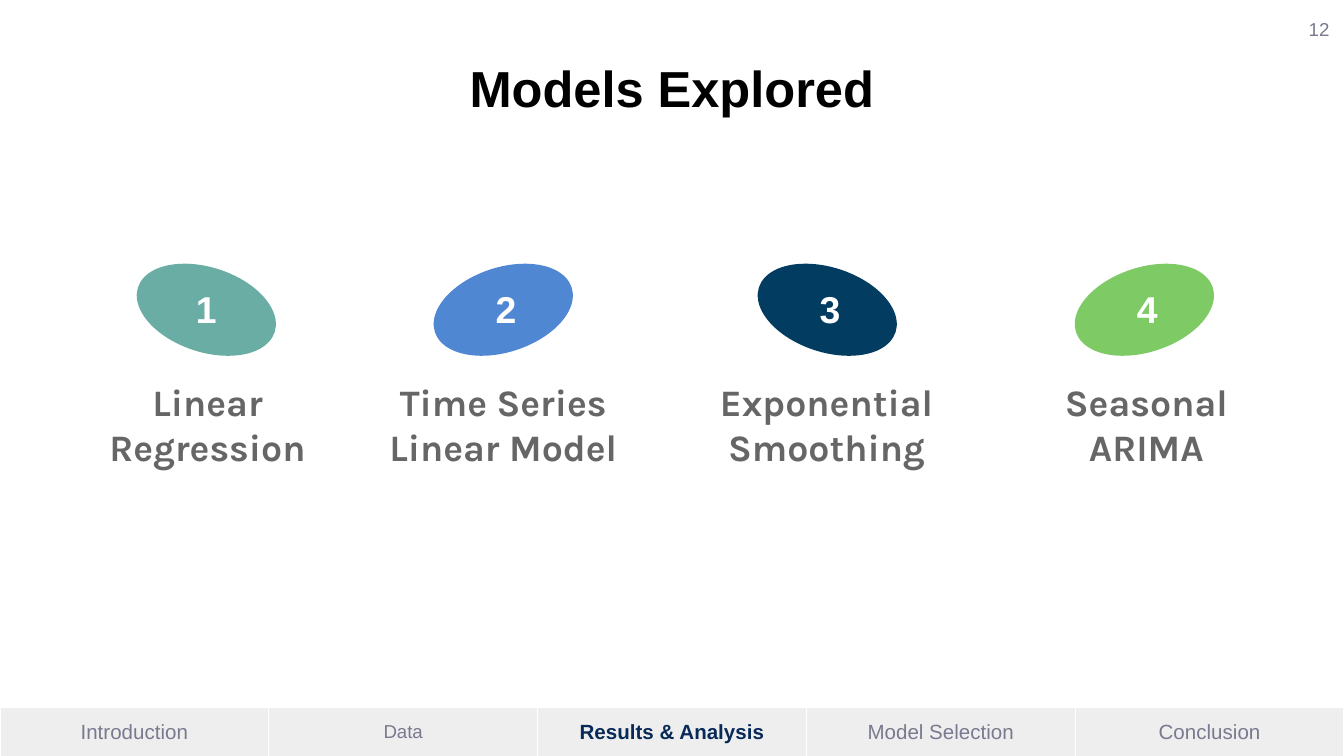
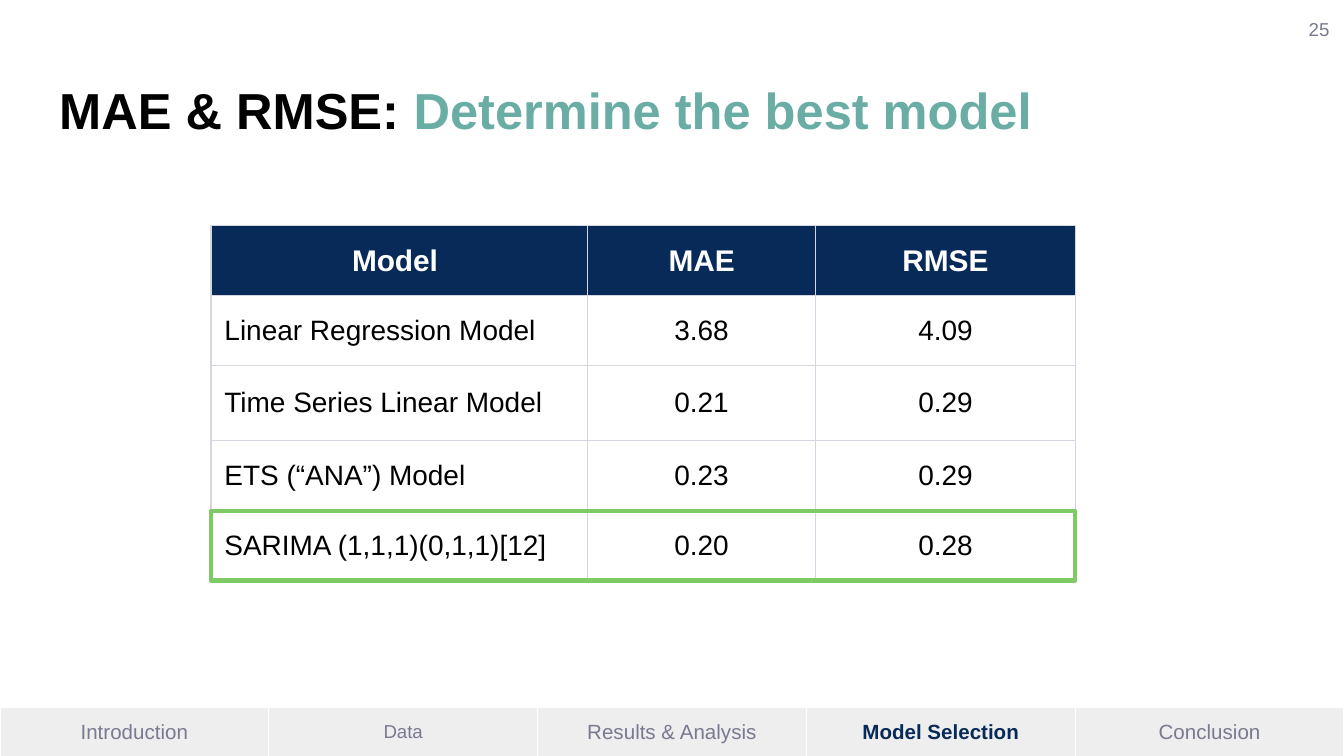
import dataclasses

import lxml.etree
import pptx
import pptx.dml.color
import pptx.enum.shapes
import pptx.enum.text
import pptx.oxml.ns
import pptx.util

Inches = pptx.util.Inches
Pt = pptx.util.Pt
ALIGN = pptx.enum.text.PP_ALIGN
ANCHOR = pptx.enum.text.MSO_ANCHOR
SHAPE = pptx.enum.shapes.MSO_SHAPE


@dataclasses.dataclass(frozen=True)
class Theme:
    font: str = "Arial"
    label_font: str = "Karla"
    black: str = "000000"
    white: str = "FFFFFF"
    muted: str = "79798F"
    navy: str = "082A58"
    band: str = "EEEEEE"
    grid: str = "D6D6E0"
    label: str = "666666"
    teal: str = "69ADA4"
    blue: str = "4F87D3"
    deep_blue: str = "023C61"
    green: str = "7ECA65"
    title_size: float = 27.1
    label_size: int = 20
    header_size: int = 16
    body_size: int = 15
    nav_size: int = 11
    small_size: int = 10


T = Theme()
SECTIONS = ["Introduction", "Data", "Results & Analysis", "Model Selection", "Conclusion"]
MODELS = [
    ("Linear Regression", T.teal, 1, 1.36, 0.62, 1.85, 18.2),
    ("Time Series Linear Model", T.blue, 3.21, 3.59, 2.5, 2.49, -18.1),
    ("Exponential Smoothing", T.deep_blue, 5.62, 6, 4.69, 2.92, 18.2),
    ("Seasonal ARIMA", T.green, 7.98, 8.36, 7.57, 1.92, -18.1),
]
SCORES = [
    ("Model ", "MAE", "RMSE"),
    ("Linear Regression Model", "3.68", "4.09"),
    ("Time Series Linear Model", "0.21", "0.29"),
    ("ETS (“ANA”) Model", "0.23", "0.29"),
    ("SARIMA (1,1,1)(0,1,1)[12]", "0.20", "0.28"),
]


def rgb(value):
    return pptx.dml.color.RGBColor.from_string(value)


def add_run(p, text, size, color, bold=False, font=T.font):
    r = p.add_run()
    r.text = text
    r.font.name = font
    r.font.size = Pt(size)
    r.font.bold = bold
    r.font.color.rgb = rgb(color)


def set_frame(tf, anchor):
    tf.word_wrap = True
    tf.auto_size = pptx.enum.text.MSO_AUTO_SIZE.NONE
    tf.vertical_anchor = anchor
    tf.margin_left = tf.margin_right = tf.margin_top = tf.margin_bottom = Inches(0.1)


def add_text(shapes, box, text, size, color, align, anchor=ANCHOR.MIDDLE, **style):
    sp = shapes.add_textbox(*map(Inches, box))
    set_frame(sp.text_frame, anchor)
    p = sp.text_frame.paragraphs[0]
    p.alignment = align
    add_run(p, text, size, color, **style)


def set_borders(cell, color):
    tcPr = cell._tc.get_or_add_tcPr()
    for i, side in enumerate(("lnL", "lnR", "lnT", "lnB")):
        ln = lxml.etree.Element(pptx.oxml.ns.qn(f"a:{side}"), w=str(Pt(0.75)))
        fill = lxml.etree.SubElement(ln, pptx.oxml.ns.qn("a:solidFill"))
        lxml.etree.SubElement(fill, pptx.oxml.ns.qn("a:srgbClr"), val=color)
        tcPr.insert(i, ln)


def set_cell(cell, text, size, color, fill, border, align=ALIGN.CENTER, bold=False):
    cell.fill.solid()
    cell.fill.fore_color.rgb = rgb(fill)
    cell.vertical_anchor = ANCHOR.MIDDLE
    cell.margin_left = cell.margin_right = cell.margin_top = cell.margin_bottom = Inches(0.1)
    p = cell.text_frame.paragraphs[0]
    p.alignment = align
    add_run(p, text, size, color, bold)
    set_borders(cell, border)


def add_grid(s, left, top, widths, heights):
    frame = s.shapes.add_table(len(heights), len(widths), Inches(left), Inches(top),
                               Inches(sum(widths)), Inches(sum(heights)))
    table = frame.table
    table.first_row = table.horz_banding = False
    for column, width in zip(table.columns, widths):
        column.width = Inches(width)
    for row, height in zip(table.rows, heights):
        row.height = Inches(height)
    return table


def add_title(s, box, runs, align=ALIGN.LEFT):
    sp = s.shapes.title
    sp.left, sp.top, sp.width, sp.height = map(Inches, box)
    set_frame(sp.text_frame, ANCHOR.TOP)
    p = sp.text_frame.paragraphs[0]
    p.alignment = align
    for text, color in runs:
        add_run(p, text, T.title_size, color, bold=True)


def add_nav(s, left, top, width, active):
    count = len(SECTIONS)
    table = add_grid(s, left, top, [width / count] * count, [0.38])
    for i, name in enumerate(SECTIONS):
        current = name == active
        size = T.small_size if name == "Data" else T.nav_size
        set_cell(table.cell(0, i), name, size, T.navy if current else T.muted,
                 T.band, T.white, bold=current)


def new_slide(prs, section, number):
    s = prs.slides.add_slide(prs.slide_layouts[5])
    add_nav(s, 0, 5.26, 10, section)
    add_text(s.shapes, (9.39, 0, 0.6, 0.43), number, T.small_size, T.muted, ALIGN.RIGHT)
    return s


def add_model(s, top, number, name, color, oval_left, number_left, label_left, label_width, angle):
    group = s.shapes.add_group_shape()
    add_text(group.shapes, (label_left, top + 0.98, label_width, 0.37), name,
             T.label_size, T.label, ALIGN.CENTER, bold=True, font=T.label_font)
    oval = group.shapes.add_shape(SHAPE.OVAL, Inches(oval_left), Inches(top),
                                  Inches(1.07), Inches(0.63))
    oval.shadow.inherit = False
    oval.rotation = angle
    oval.fill.solid()
    oval.fill.fore_color.rgb = rgb(color)
    oval.line.fill.background()
    add_text(group.shapes, (number_left, top + 0.04, 0.48, 0.54), str(number),
             T.label_size, T.white, ALIGN.LEFT, ANCHOR.TOP, bold=True)


def add_scores(s, left, top, widths, heights):
    table = add_grid(s, left, top, widths, heights)
    for i, row in enumerate(SCORES):
        for j, text in enumerate(row):
            cell = table.cell(i, j)
            if i == 0:
                set_cell(cell, text, T.header_size, T.white, T.navy, T.grid, bold=True)
            else:
                set_cell(cell, text, T.body_size, T.black, T.white, T.grid,
                         ALIGN.CENTER if j else ALIGN.LEFT)
    best = s.shapes.add_shape(SHAPE.RECTANGLE, Inches(left), Inches(top + sum(heights[:-1])),
                              Inches(sum(widths)), Inches(heights[-1]))
    best.shadow.inherit = False
    best.fill.background()
    best.line.color.rgb = rgb(T.green)
    best.line.width = Pt(2.25)


def build_models_slide(prs):
    s = new_slide(prs, "Results & Analysis", "12")
    add_title(s, (0.34, 0.32, 9.32, 0.63), [("Models Explored", T.black)], ALIGN.CENTER)
    for number, model in enumerate(MODELS, 1):
        add_model(s, 1.99, number, *model)


def build_scores_slide(prs):
    s = new_slide(prs, "Model Selection", "25")
    add_title(s, (0.34, 0.49, 9.59, 0.63),
              [("MAE & RMSE: ", T.black), ("Determine the best model", T.teal)])
    add_scores(s, 1.57, 1.68, [2.8, 1.7, 1.93], [0.52, 0.52, 0.56, 0.52, 0.52])


def main():
    prs = pptx.Presentation()
    prs.slide_width = Inches(10)
    prs.slide_height = prs.slide_width * 9 // 16
    build_models_slide(prs)
    build_scores_slide(prs)
    prs.save("out.pptx")


if __name__ == "__main__":
    main()
